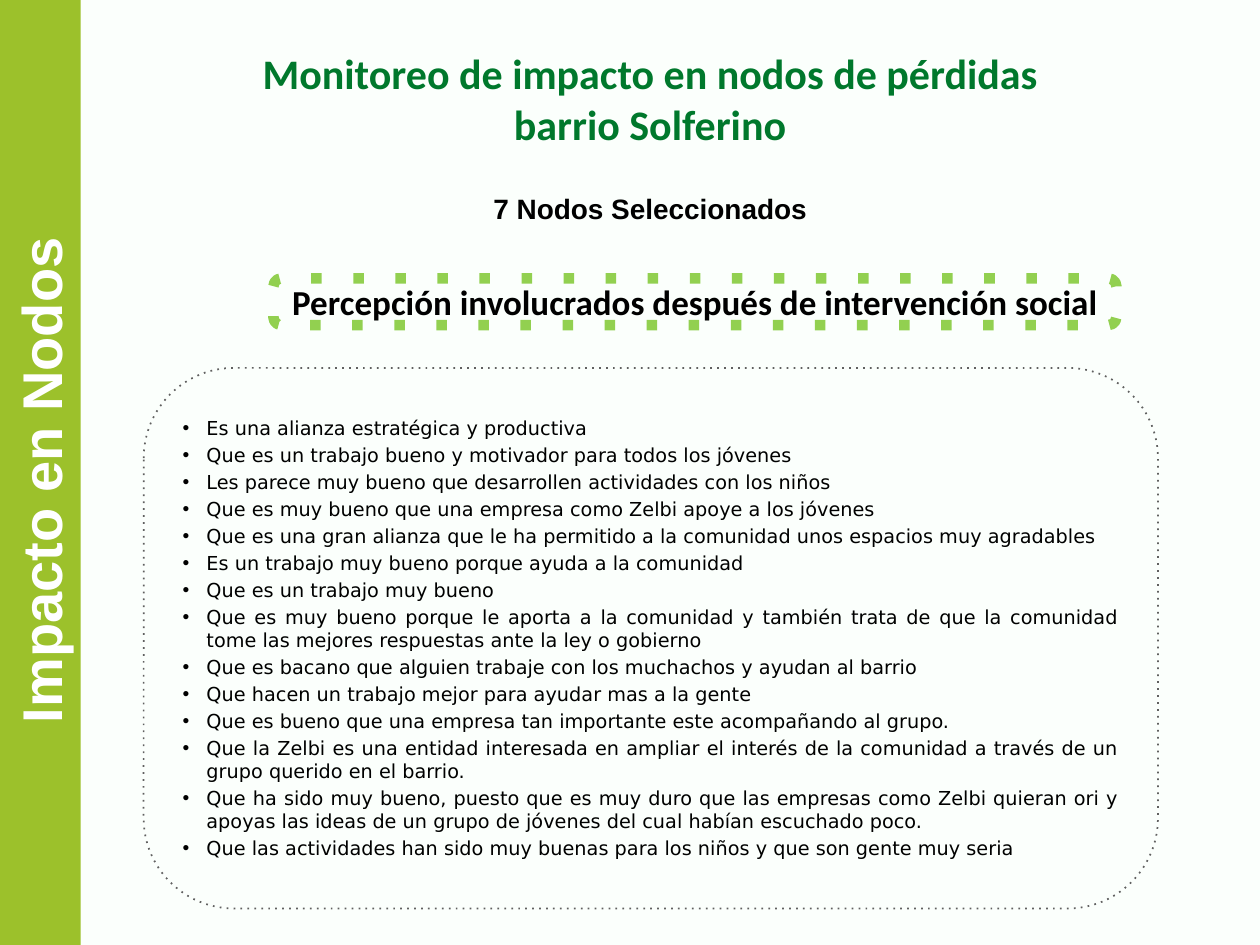
from lxml.etree import SubElement
from pptx import Presentation
from pptx.dml.color import RGBColor
from pptx.enum.shapes import MSO_SHAPE as SHAPE
from pptx.enum.text import MSO_ANCHOR as ANCHOR, MSO_AUTO_SIZE as AUTO_SIZE, PP_ALIGN as ALIGN
from pptx.oxml.ns import qn
from pptx.util import Inches, Pt

BACKGROUND = RGBColor(0xFB, 0xFF, 0xFC)
LIME = RGBColor(0x9C, 0xC1, 0x2B)
BRIGHT_GREEN = RGBColor(0x92, 0xD0, 0x50)
DARK_GREEN = RGBColor(0x00, 0x78, 0x2C)
GREY = RGBColor(0x60, 0x60, 0x60)
BLACK = RGBColor(0x00, 0x00, 0x00)
WHITE = RGBColor(0xFF, 0xFF, 0xFF)

OPINIONS = [
    "Es una alianza estratégica y productiva",
    "Que es un trabajo bueno y motivador para todos los jóvenes",
    "Les parece muy bueno que desarrollen actividades con los niños",
    "Que es muy bueno que una empresa como Zelbi apoye a los jóvenes",
    "Que es una gran alianza que le ha permitido a la comunidad unos espacios muy agradables",
    "Es un trabajo muy bueno porque ayuda a la comunidad",
    "Que es un trabajo muy bueno",
    "Que es muy bueno porque le aporta a la comunidad y también trata de que la comunidad "
    "tome las mejores respuestas ante la ley o gobierno",
    "Que es bacano que alguien trabaje con los muchachos y ayudan al barrio",
    "Que hacen un trabajo mejor para ayudar mas a la gente",
    "Que es bueno que una empresa tan importante este acompañando al grupo.",
    "Que la Zelbi es una entidad interesada en ampliar el interés de la comunidad a través de "
    "un grupo querido en el barrio.",
    "Que ha sido muy bueno, puesto que es muy duro que las empresas como Zelbi quieran ori y "
    "apoyas las ideas de un grupo de jóvenes del cual habían escuchado poco.",
    "Que las actividades han sido muy buenas para los niños y que son gente muy seria",
]


def write(box, lines, font, align=ALIGN.CENTER, anchor=ANCHOR.TOP, margin=0.1, hanging=0, bullet=None):
    """Fill a box with one paragraph per line, all in the same format."""
    frame = box.text_frame
    frame_format = {
        "word_wrap": True, "auto_size": AUTO_SIZE.SHAPE_TO_FIT_TEXT, "vertical_anchor": anchor,
        "margin_left": Inches(margin), "margin_right": Inches(margin),
        "margin_top": Inches(margin / 2), "margin_bottom": Inches(margin / 2),
    }
    for name, value in frame_format.items():
        setattr(frame, name, value)
    for number, line in enumerate(lines):
        para = frame.add_paragraph() if number else frame.paragraphs[0]
        para.alignment = align
        if number:
            para.space_before = Pt(2.2)
        properties = para._p.get_or_add_pPr()
        if hanging:
            properties.set("marL", str(Inches(hanging)))
            properties.set("indent", str(-Inches(hanging)))
        if bullet:
            bullet_color = SubElement(properties, qn("a:buClr"))
            SubElement(bullet_color, qn("a:srgbClr"), val=str(BLACK))
            SubElement(properties, qn("a:buFont"), typeface="Arial")
            SubElement(properties, qn("a:buChar"), char=bullet)
        span = para.add_run()
        span.text = line
        for name, value in font.items():
            if name == "color":
                span.font.color.rgb = value
            else:
                setattr(span.font, name, value)


def add_dotted_frame(slide, position, color, width):
    frame = slide.shapes.add_shape(SHAPE.ROUNDED_RECTANGLE, *map(Inches, position))
    frame.shadow.inherit = False
    frame.adjustments[0] = 0.167
    frame.fill.background()
    frame.line.color.rgb = color
    frame.line.width = Pt(width)
    SubElement(frame.line._get_or_add_ln(), qn("a:prstDash"), val="dot")
    return frame


deck = Presentation()
deck.slide_width, deck.slide_height = Inches(10), Inches(7.5)
slide = deck.slides.add_slide(deck.slide_layouts[6])
slide.background.fill.solid()
slide.background.fill.fore_color.rgb = BACKGROUND

side_band = slide.shapes.add_shape(
    SHAPE.RECTANGLE, Inches(-3.43), Inches(3.43), Inches(7.5), Inches(0.64))
side_band.rotation = 270
side_band.shadow.inherit = False
side_band.fill.solid()
side_band.fill.fore_color.rgb = LIME
side_band.line.fill.background()
write(side_band, ["Impacto en Nodos "],
      {"name": "Arial", "size": Pt(32), "bold": True, "color": WHITE}, hanging=0.38)

opinions_frame = add_dotted_frame(slide, (1.14, 2.92, 8.05, 4.29), GREY, 1)
write(opinions_frame, OPINIONS, {"name": "DejaVu Sans", "size": Pt(11), "color": BLACK},
      align=ALIGN.JUSTIFY, anchor=ANCHOR.MIDDLE, hanging=0.19, bullet="•")

headings = [
    ((1.89, 0.33, 6.54, 0.91), "Monitoreo de impacto en nodos de pérdidas barrio Solferino",
     "Calibri", 24, DARK_GREEN),
    ((3.37, 1.47, 3.58, 0.37), "7 Nodos Seleccionados", "Arial", 16, BLACK),
]
for position, text, font_name, size, color in headings:
    heading = slide.shapes.add_textbox(*map(Inches, position))
    write(heading, [text], {"name": font_name, "size": Pt(size), "bold": True, "color": color})

perception_frame = add_dotted_frame(slide, (2.17, 2.21, 6.69, 0.37), BRIGHT_GREEN, 6)
write(perception_frame, ["Percepción involucrados después de intervención social"],
      {"name": "Calibri", "size": Pt(20), "bold": True, "color": BLACK},
      anchor=ANCHOR.MIDDLE, margin=0)

deck.save("out.pptx")
